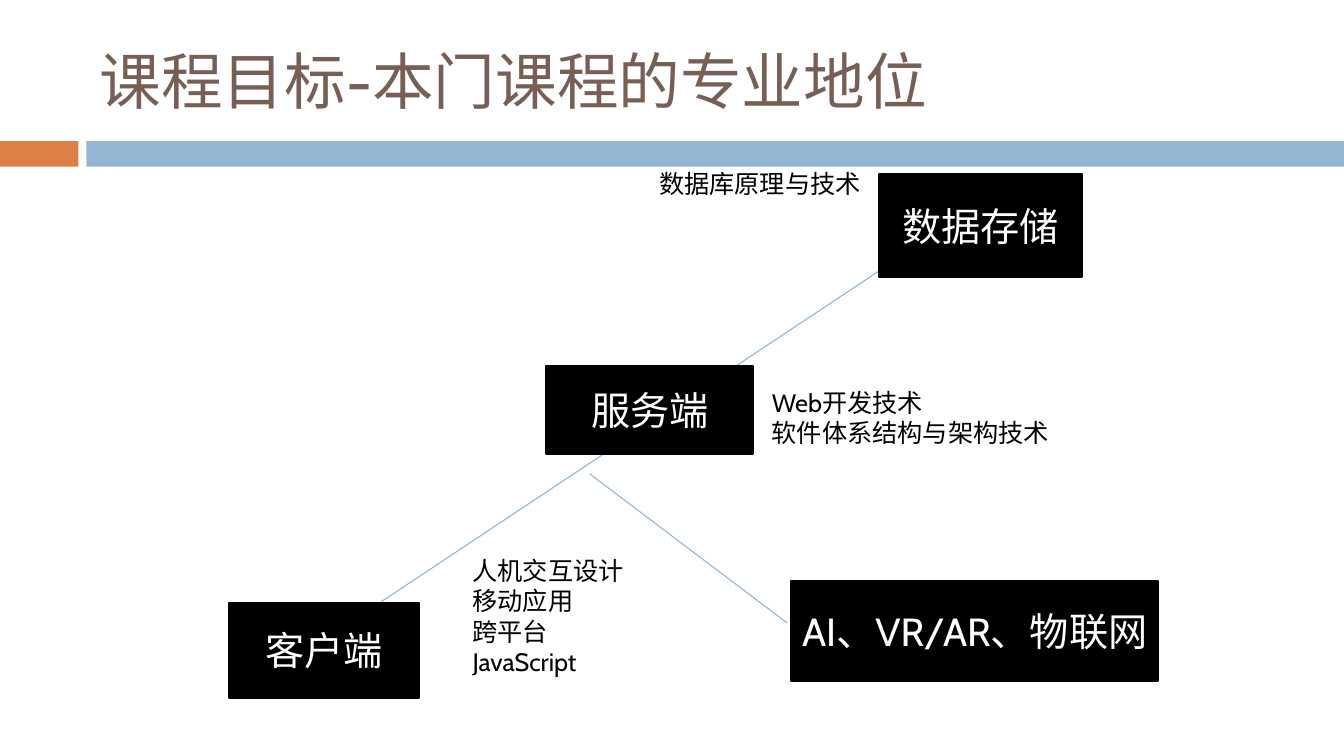
"""Build the slide on where this course sits within the major."""
from lxml import etree
from pptx import Presentation
from pptx.dml.color import RGBColor
from pptx.enum.shapes import MSO_CONNECTOR, MSO_SHAPE
from pptx.enum.text import MSO_ANCHOR, MSO_AUTO_SIZE, PP_ALIGN
from pptx.oxml.ns import qn
from pptx.util import Cm, Pt

RECT = MSO_SHAPE.RECTANGLE
STRAIGHT = MSO_CONNECTOR.STRAIGHT
MIDDLE, TOP = MSO_ANCHOR.MIDDLE, MSO_ANCHOR.TOP
CENTER, LEFT = PP_ALIGN.CENTER, PP_ALIGN.LEFT
FIT_SHAPE = MSO_AUTO_SIZE.SHAPE_TO_FIT_TEXT
ORANGE = RGBColor(0xDD, 0x80, 0x47)
BLUE = RGBColor(0x94, 0xB6, 0xD2)
BROWN = RGBColor(0x77, 0x5F, 0x55)
BLACK = RGBColor(0, 0, 0)
WHITE = RGBColor(255, 255, 255)

TITLE = {"name": "Cabin", "size": Pt(44)}
TIER = {"name": "Cabin", "size": Pt(28)}
COURSE = {"name": "Cabin", "size": Pt(18)}


def add_rect(left, top, width, height, color):
    sp = s.shapes.add_shape(RECT, Cm(left), Cm(top), Cm(width), Cm(height))
    sp.shadow.inherit = False
    sp.fill.solid()
    sp.fill.fore_color.rgb = color
    sp.line.fill.background()
    return sp


def write(sp, lines, font, color, align, anchor):
    tf = sp.text_frame
    tf.word_wrap = True
    tf.vertical_anchor = anchor
    for i, line in enumerate(lines):
        p = tf.paragraphs[0] if i == 0 else tf.add_paragraph()
        p.alignment = align
        r = p.add_run()
        r.text = line
        for key, value in font.items():
            setattr(r.font, key, value)
        r.font.color.rgb = color


prs = Presentation()
prs.slide_width, prs.slide_height = Cm(33.87), Cm(19.05)
s = prs.slides.add_slide(prs.slide_layouts[6])

add_rect(0, 3.56, 1.98, 0.64, ORANGE)
add_rect(2.18, 3.56, 31.69, 0.64, BLUE)

title = s.shapes.add_textbox(Cm(2.26), Cm(0.64), Cm(30.2), Cm(2.74))
write(title, ["课程目标-本门课程的专业地位"], TITLE, BROWN, LEFT, MIDDLE)

links = [
    (5.94, 17.6, 25.73, 4.45, True),
    (14.86, 11.94, 19.84, 15.7, False),
]
for x1, y1, x2, y2, arrow in links:
    link = s.shapes.add_connector(STRAIGHT, Cm(x1), Cm(y1), Cm(x2), Cm(y2))
    link.line.color.rgb = BLUE
    link.line.width = Pt(0.79)
    if arrow:
        ln = link.line._get_or_add_ln()
        etree.SubElement(ln, qn("a:tailEnd"), type="arrow")
    etree.SubElement(link._element.spPr, qn("a:effectLst"))

tiers = [
    ("客户端", 5.77, 15.19, 4.8, 2.39),
    ("服务端", 13.77, 9.22, 5.21, 2.21),
    ("数据存储", 22.15, 4.39, 5.11, 2.59),
    ("AI、VR/AR、物联网", 19.94, 14.63, 9.25, 2.54),
]
for name, left, top, width, height in tiers:
    tier = add_rect(left, top, width, height, BLACK)
    tier.line.color.rgb = BLACK
    tier.line.width = Pt(1.5)
    write(tier, [name], TIER, WHITE, CENTER, MIDDLE)

courses = [
    (["人机交互设计", "移动应用", "跨平台", "JavaScript"], 11.66, 13.87, 5.59, 3.33),
    (["Web开发技术", "软件体系结构与架构技术"], 19.2, 9.63, 7.54, 1.8),
    (["数据库原理与技术"], 16.36, 4.11, 6.32, 1.02),
]
for lines, left, top, width, height in courses:
    box = s.shapes.add_textbox(Cm(left), Cm(top), Cm(width), Cm(height))
    write(box, lines, COURSE, BLACK, LEFT, TOP)
    box.text_frame.auto_size = FIT_SHAPE

prs.save("out.pptx")
